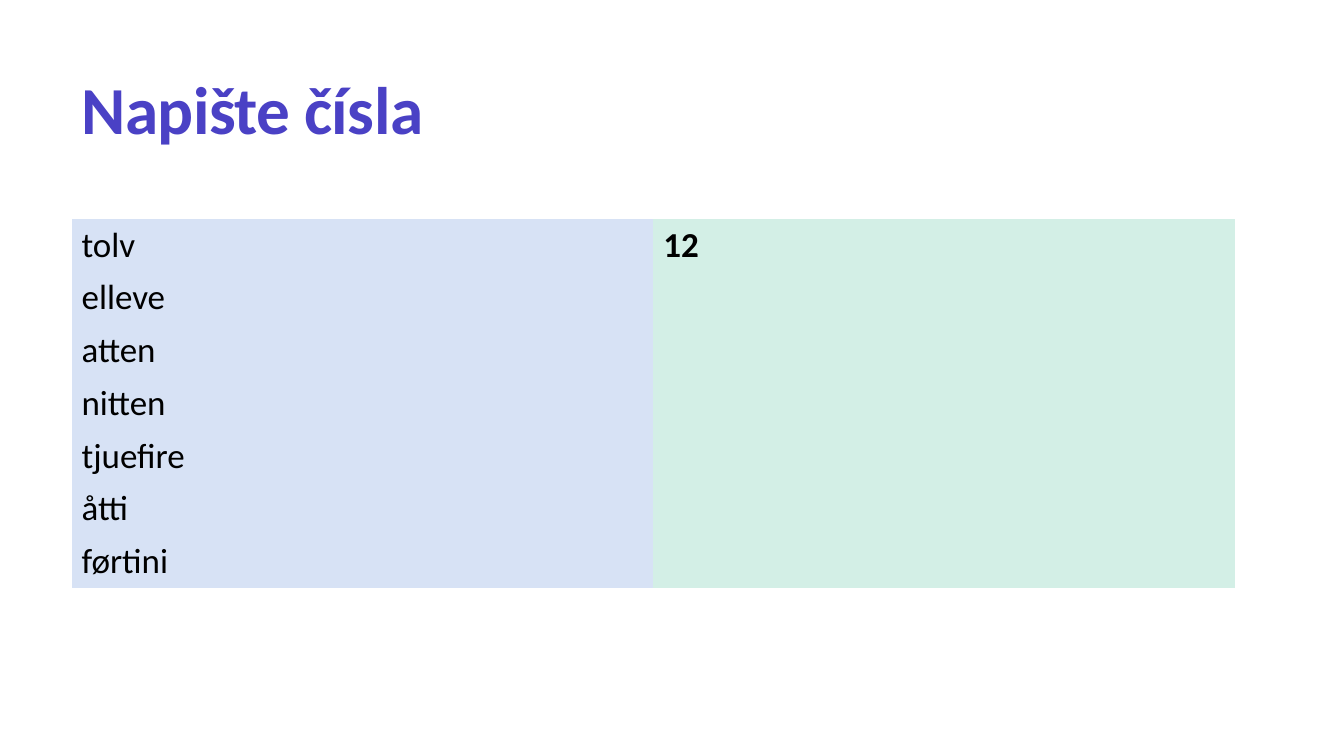
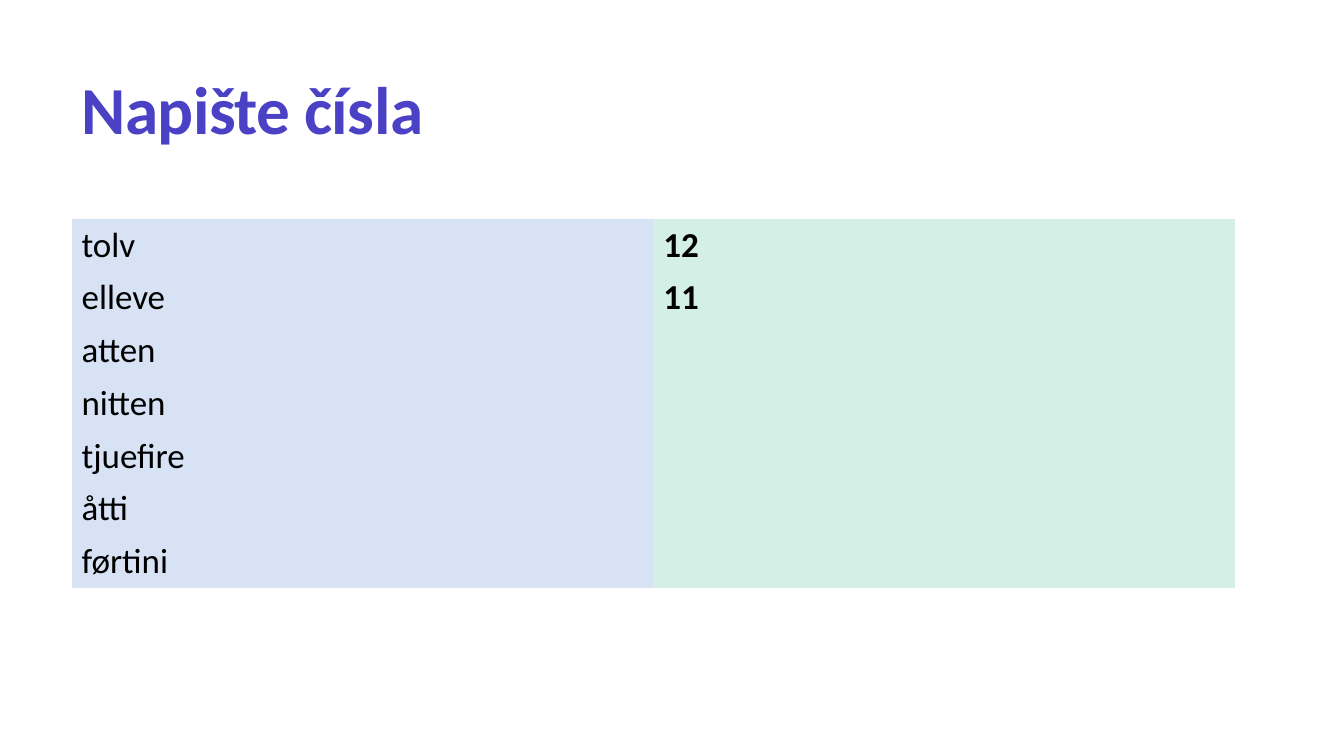
from pptx import Presentation
from pptx.dml.color import RGBColor
from pptx.enum.text import MSO_ANCHOR
from pptx.oxml.ns import qn
from pptx.util import Pt

VIOLET = RGBColor(0x4A, 0x41, 0xC5)
BLACK = RGBColor(0x00, 0x00, 0x00)
PALE_BLUE = RGBColor(0xD7, 0xE2, 0xF5)
PALE_GREEN = RGBColor(0xD3, 0xEF, 0xE6)

FONT = "Calibri"
PLAIN_TABLE_STYLE = "{2D5ABB26-0587-4C30-8999-92F81FD0307C}"
LEFT = Pt(51.1)
WIDTH = Pt(831)
ROW_HEIGHT = Pt(37.65)

HEADING = "Napište čísla"
WORDS = ["tolv", "elleve", "atten", "nitten", "tjuefire", "åtti", "førtini"]
ANSWERS_BY_SLIDE = [["12"], ["12", "11"]]


def write(frame, text, *, size=25, color=BLACK, bold=False, spacing=None, tracking=None):
    paragraph = frame.paragraphs[0]
    if spacing:
        paragraph.line_spacing = spacing
    run = paragraph.add_run()
    run.text = text
    run.font.name = FONT
    run.font.size = Pt(size)
    run.font.bold = bold
    run.font.color.rgb = color
    if tracking:
        run.font._element.set("spc", str(round(tracking * 100)))


class Deck:
    def __init__(self):
        self.presentation = Presentation()
        self.presentation.slide_width = Pt(960)
        self.presentation.slide_height = Pt(540)
        self.slide = None

    def new_slide(self):
        self.slide = self.presentation.slides.add_slide(self.presentation.slide_layouts[6])

    def title(self, text):
        frame = self.slide.shapes.add_textbox(LEFT, Pt(28.8), WIDTH, Pt(81.4)).text_frame
        frame.word_wrap = True
        frame.vertical_anchor = MSO_ANCHOR.BOTTOM
        write(frame, text, size=48, color=VIOLET, bold=True, spacing=0.9, tracking=-0.4)

    def exercise_table(self, words, answers):
        table = self.slide.shapes.add_table(
            len(words), 2, LEFT, Pt(156.4), WIDTH, ROW_HEIGHT * len(words)
        ).table
        table.first_row = False
        table.horz_banding = False
        table._tbl.tblPr.find(qn("a:tableStyleId")).text = PLAIN_TABLE_STYLE
        for row in table.rows:
            row.height = ROW_HEIGHT
        columns = [(words, PALE_BLUE, False), (answers, PALE_GREEN, True)]
        for column, (entries, fill, bold) in enumerate(columns):
            for row in range(len(words)):
                cell = table.cell(row, column)
                cell.fill.solid()
                cell.fill.fore_color.rgb = fill
                if row < len(entries):
                    write(cell.text_frame, entries[row], bold=bold)


def main():
    deck = Deck()
    for answers in ANSWERS_BY_SLIDE:
        deck.new_slide()
        deck.title(HEADING)
        deck.exercise_table(WORDS, answers)
    deck.presentation.save("out.pptx")


if __name__ == "__main__":
    main()
